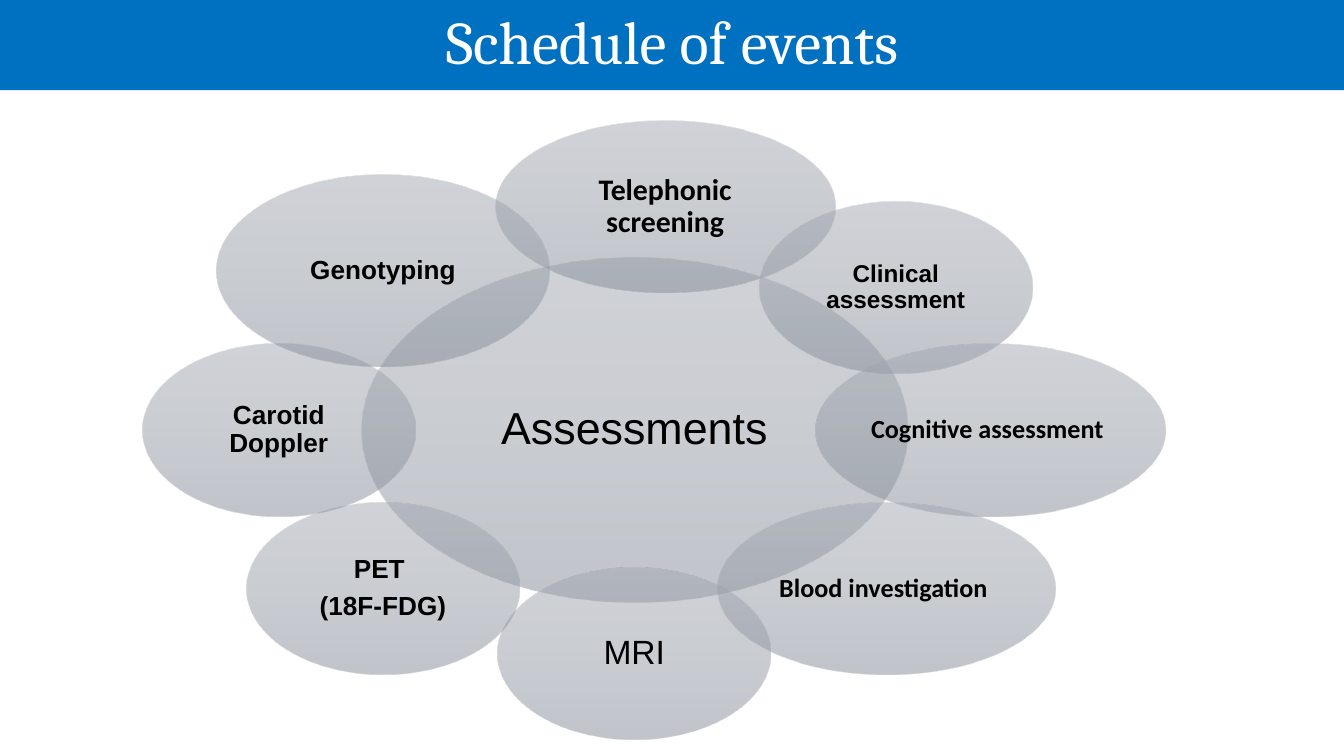
from typing import NamedTuple

from lxml.etree import SubElement
from pptx import Presentation
from pptx.dml.color import RGBColor
from pptx.enum.shapes import MSO_SHAPE as Shape
from pptx.enum.text import MSO_ANCHOR as Anchor, MSO_AUTO_SIZE as AutoSize, PP_ALIGN as Align
from pptx.oxml.ns import qn
from pptx.util import Inches, Pt

BLUE = RGBColor(0x00, 0x70, 0xC0)
WHITE = RGBColor(0xFF, 0xFF, 0xFF)
BLACK = RGBColor(0x00, 0x00, 0x00)
GREY_STOPS = (
    (0, RGBColor(0xA3, 0xA8, 0xB2)),
    (50, RGBColor(0x96, 0x9C, 0xA6)),
    (100, RGBColor(0x84, 0x8C, 0x98)),
)
OPACITY = 50

SLIDE_WIDTH = Inches(10)
SLIDE_HEIGHT = SLIDE_WIDTH * 9 // 16
CELL = SLIDE_WIDTH / 100  # one column or row of the grid
TITLE_ROWS = 6.7


class Oval(NamedTuple):
    """An ellipse: centre and size in grid cells, then its lettering."""
    lines: tuple[str, ...]
    column: float
    row: float
    columns: float = 20.3
    rows: float = 12.8
    size: float = 14
    font: str = "Arial"
    bold: bool = True
    inset: float = 0.02


OVALS = (
    Oval(("Assessments",), 47.2, 32, 40.6, 25.6, size=24, bold=False, inset=0.03),
    # Satellites, clockwise from the top
    Oval(("Telephonic screening",), 49.5, 15.4, 25.3, size=16, font="Calibri"),
    Oval(("Clinical assessment",), 66.65, 21.4, size=13),
    Oval(("Cognitive assessment ",), 73.7, 32, 26, font="Calibri"),
    Oval(("Blood investigation ",), 65.95, 43.8, 25.1, font="Calibri"),
    Oval(("MRI",), 47.2, 48.6, size=18, bold=False),
    Oval(("PET ", "(18F-FDG)"), 28.5, 43.8),
    Oval(("Carotid Doppler",), 20.75, 32),
    Oval(("Genotyping",), 28.5, 20.15, 24.8, 14.3),
)


def write(box, lines: tuple[str, ...], inset: float, color: RGBColor, **font_format) -> None:
    """Fill a shape with centred lines of text."""
    frame = box.text_frame
    margin = Inches(inset)
    frame_format = dict(
        word_wrap=True, auto_size=AutoSize.NONE, vertical_anchor=Anchor.MIDDLE,
        margin_left=margin, margin_right=margin, margin_top=margin, margin_bottom=margin,
    )
    for name, value in frame_format.items():
        setattr(frame, name, value)
    for index, line in enumerate(lines):
        para = frame.add_paragraph() if index else frame.paragraphs[0]
        para.alignment = Align.CENTER
        para.line_spacing = 0.9
        para.space_before = Pt(4.9 if index else 0)
        span = para.add_run()
        span.text = line
        for name, value in font_format.items():
            setattr(span.font, name, value)
        span.font.color.rgb = color


def shade(shape) -> None:
    """Give a shape the translucent grey gradient, light at the top."""
    shape.fill.gradient()
    shape.fill.gradient_angle = 270
    stops = shape.element.spPr.find(".//" + qn("a:gsLst"))
    for stop in list(stops):
        stops.remove(stop)
    for position, color in GREY_STOPS:
        stop = SubElement(stops, qn("a:gs"), pos=str(position * 1000))
        tone = SubElement(stop, qn("a:srgbClr"), val=str(color))
        SubElement(tone, qn("a:alpha"), val=str(OPACITY * 1000))


def draw_oval(page, oval: Oval) -> None:
    left, top = oval.column - oval.columns / 2, oval.row - oval.rows / 2
    place = (round(cells * CELL) for cells in (left, top, oval.columns, oval.rows))
    shape = page.shapes.add_shape(Shape.OVAL, *place)
    shape.shadow.inherit = False
    shape.line.fill.background()
    shade(shape)
    write(shape, oval.lines, oval.inset, BLACK,
          name=oval.font, size=Pt(oval.size), bold=oval.bold)


def draw_title(page, text: str) -> None:
    title = page.shapes.title
    place = dict(left=0, top=0, width=SLIDE_WIDTH, height=round(TITLE_ROWS * CELL))
    for name, value in place.items():
        setattr(title, name, value)
    title.fill.solid()
    title.fill.fore_color.rgb = BLUE
    write(title, (text,), 0.1, WHITE, name="Cambria", size=Pt(32.4), bold=False)


def main() -> None:
    deck = Presentation()
    deck.slide_width, deck.slide_height = SLIDE_WIDTH, SLIDE_HEIGHT
    page = deck.slides.add_slide(deck.slide_layouts.get_by_name("Title Only"))

    # Title band
    draw_title(page, "Schedule of events")

    # Overlapping ovals, the centre one at the back
    for oval in OVALS:
        draw_oval(page, oval)

    deck.save("out.pptx")


if __name__ == "__main__":
    main()
